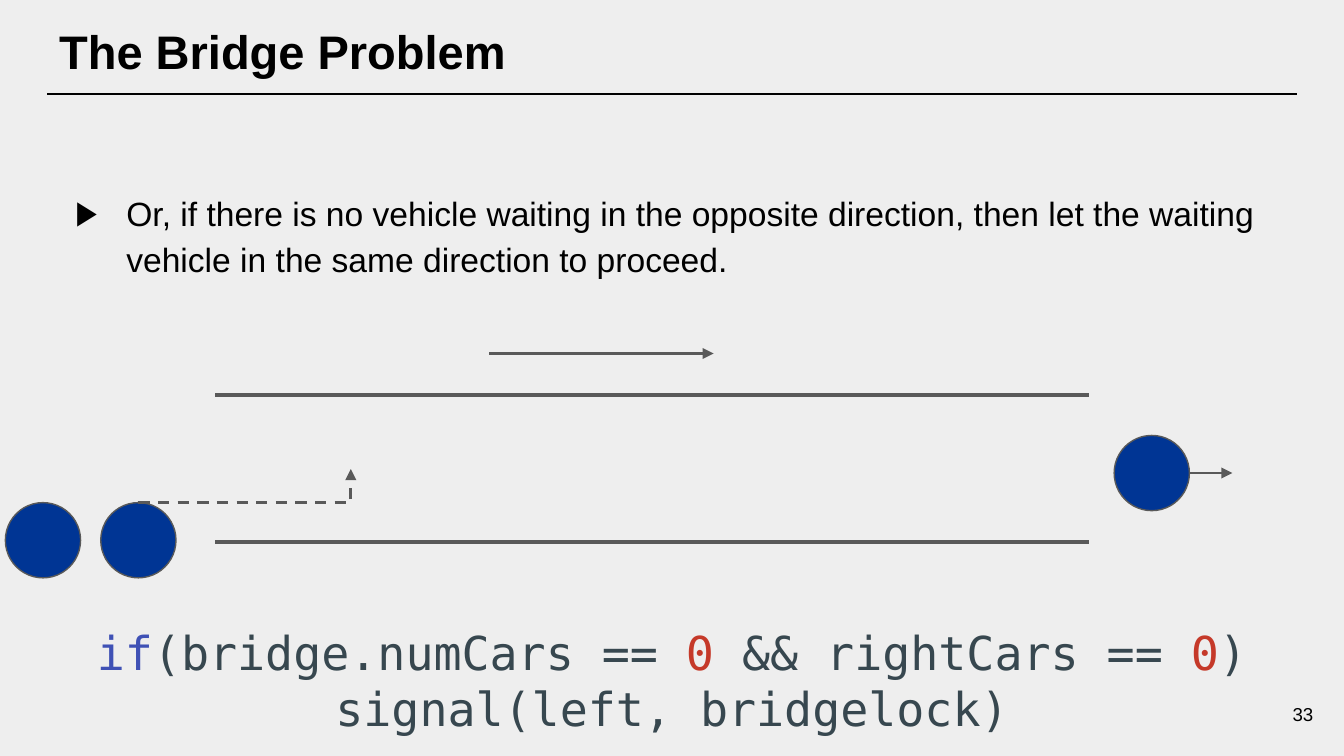
from lxml import etree
from pptx import Presentation
from pptx.dml.color import RGBColor
from pptx.enum.dml import MSO_LINE
from pptx.enum.shapes import MSO_CONNECTOR, MSO_SHAPE
from pptx.enum.text import MSO_ANCHOR, MSO_AUTO_SIZE, PP_ALIGN
from pptx.oxml.ns import qn
from pptx.util import Inches, Pt

BLACK = RGBColor(0x00, 0x00, 0x00)
BACKGROUND = RGBColor(0xEE, 0xEE, 0xEE)
GRAY = RGBColor(0x59, 0x59, 0x59)
CAR_BLUE = RGBColor(0x00, 0x35, 0x94)
KEYWORD = RGBColor(0x3F, 0x51, 0xB5)
CODE = RGBColor(0x37, 0x47, 0x4F)
NUMBER = RGBColor(0xC5, 0x39, 0x29)


def set_frame(shape, left, top, width, height, anchor):
    shape.left, shape.top = Inches(left), Inches(top)
    shape.width, shape.height = Inches(width), Inches(height)
    frame = shape.text_frame
    frame.word_wrap = True
    frame.auto_size = MSO_AUTO_SIZE.NONE
    frame.vertical_anchor = anchor
    frame.margin_left = frame.margin_right = Inches(0.1)
    frame.margin_top = frame.margin_bottom = Inches(0.1)
    return frame


def add_line(kind, start, end, color, weight, arrow=False):
    connector = slide.shapes.add_connector(
        kind, Inches(start[0]), Inches(start[1]), Inches(end[0]), Inches(end[1]))
    connector.line.color.rgb = color
    connector.line.width = Pt(weight)
    if arrow:
        etree.SubElement(connector.line._get_or_add_ln(), qn("a:tailEnd"), type="triangle")
    etree.SubElement(connector._element.spPr, qn("a:effectLst"))
    return connector


prs = Presentation()
prs.slide_width = Inches(10)
prs.slide_height = prs.slide_width * 9 // 16
slide = prs.slides.add_slide(prs.slide_layouts[1])
slide.background.fill.solid()
slide.background.fill.fore_color.rgb = BACKGROUND

title = set_frame(slide.shapes.title, 0.34, 0.07, 9.32, 0.63, MSO_ANCHOR.TOP)
title.text = "The Bridge Problem"
heading = title.paragraphs[0]
heading.alignment = PP_ALIGN.LEFT
heading.font.name = "Arial"
heading.font.size = Pt(25.2)
heading.font.bold = True
heading.font.color.rgb = BLACK
add_line(MSO_CONNECTOR.STRAIGHT, (0.35, 0.7), (9.65, 0.7), BLACK, 1.5)

body = set_frame(slide.placeholders[1], 0.34, 0.98, 9.32, 1.51, MSO_ANCHOR.MIDDLE)
body.text = ("Or, if there is no vehicle waiting in the opposite direction, "
             "then let the waiting vehicle in the same direction to proceed.")
rule = body.paragraphs[0]
rule.line_spacing = 1.15
rule.space_before = Pt(0)
rule_format = rule._p.get_or_add_pPr()
rule_format.set("marL", str(Inches(0.5)))
rule_format.set("indent", str(Inches(-0.38)))
bullet_color = etree.SubElement(rule_format, qn("a:buClr"))
etree.SubElement(bullet_color, qn("a:srgbClr"), val=str(BLACK))
etree.SubElement(rule_format, qn("a:buFont"), typeface="Arial")
etree.SubElement(rule_format, qn("a:buChar"), char="▶")
rule.font.name = "Arial"
rule.font.size = Pt(18)
rule.font.color.rgb = BLACK

number_box = slide.shapes.add_textbox(0, 0, 0, 0)
page_number = set_frame(number_box, 8.67, 5.1, 1.2, 0.43, MSO_ANCHOR.MIDDLE)
page_number.text = "33"
page = page_number.paragraphs[0]
page.alignment = PP_ALIGN.RIGHT
page.font.name = "Arial"
page.font.size = Pt(10)
page.font.color.rgb = BLACK

for bridge_edge in (4.03, 2.94):
    add_line(MSO_CONNECTOR.STRAIGHT, (1.6, bridge_edge), (8.1, bridge_edge), GRAY, 2.25)

add_line(MSO_CONNECTOR.STRAIGHT, (8.39, 3.52), (9.17, 3.52), GRAY, 1.5, arrow=True)
add_line(MSO_CONNECTOR.STRAIGHT, (3.64, 2.63), (5.31, 2.63), GRAY, 1.5, arrow=True)

for left, top in ((0.04, 3.74), (0.75, 3.74), (8.29, 3.24)):
    car = slide.shapes.add_shape(
        MSO_SHAPE.OVAL, Inches(left), Inches(top), Inches(0.56), Inches(0.56))
    car.shadow.inherit = False
    car.fill.solid()
    car.fill.fore_color.rgb = CAR_BLUE
    car.line.color.rgb = GRAY
    car.line.width = Pt(0.75)

entry_path = add_line(MSO_CONNECTOR.ELBOW, (1.03, 3.74), (2.61, 3.49), GRAY, 1.5, arrow=True)
entry_path.line.dash_style = MSO_LINE.DASH
entry_path._element.spPr.find(qn("a:prstGeom")).set("prst", "bentConnector2")

code_box = slide.shapes.add_textbox(0, 0, 0, 0)
code = set_frame(code_box, 0, 4.54, 10, 1.04, MSO_ANCHOR.TOP)
statement = code.paragraphs[0]
statement.alignment = PP_ALIGN.CENTER
for token, color in (
    ("if", KEYWORD),
    ("(bridge.numCars == ", CODE),
    ("0", NUMBER),
    (" && rightCars == ", CODE),
    ("0", NUMBER),
    (") signal(left, bridgelock)", CODE),
):
    run = statement.add_run()
    run.text = token
    run.font.name = "DejaVu Sans Mono"
    run.font.size = Pt(25)
    run.font.color.rgb = color

prs.save("out.pptx")
